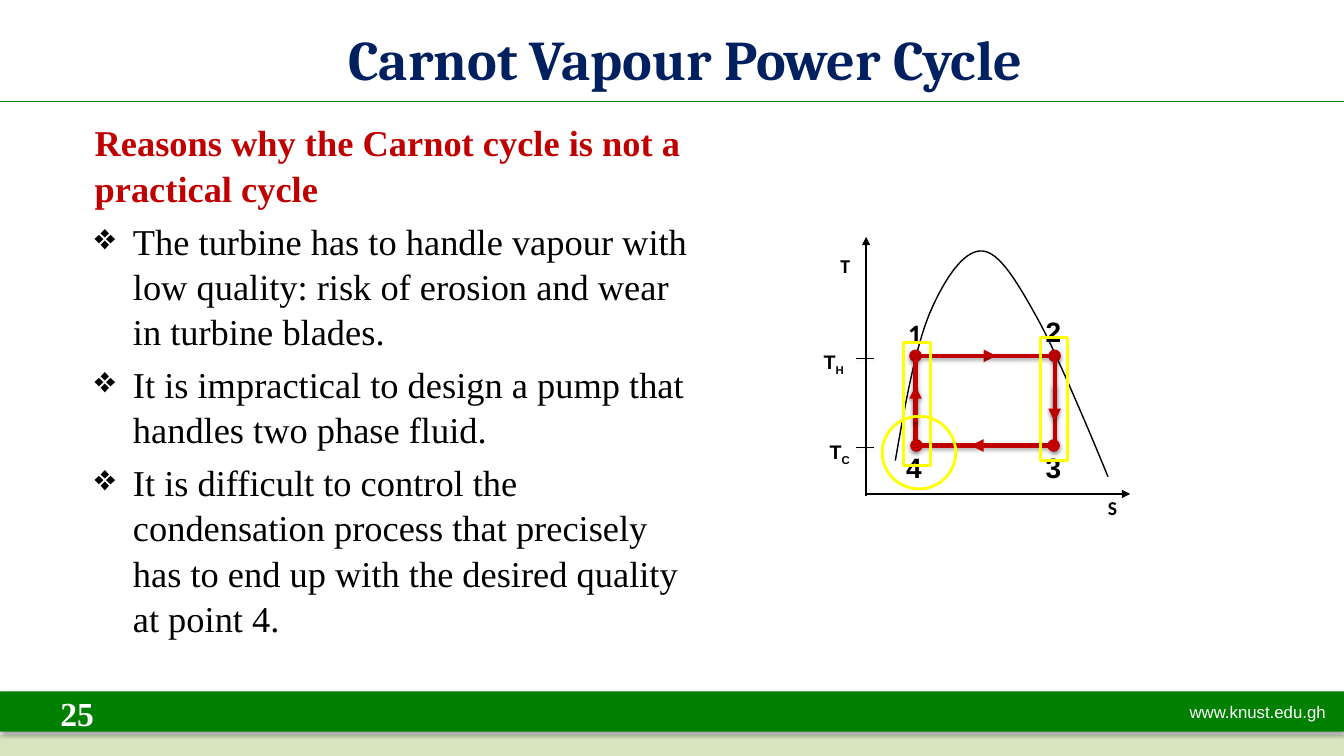
from dataclasses import dataclass

from lxml import etree
from pptx import Presentation
from pptx.dml.color import RGBColor
from pptx.enum.shapes import MSO_CONNECTOR, MSO_SHAPE
from pptx.enum.text import MSO_ANCHOR, PP_ALIGN
from pptx.oxml.ns import qn
from pptx.util import Pt

PX = 9144
RECT, OVAL = MSO_SHAPE.RECTANGLE, MSO_SHAPE.OVAL
STRAIGHT = MSO_CONNECTOR.STRAIGHT
TOP, MIDDLE = MSO_ANCHOR.TOP, MSO_ANCHOR.MIDDLE
LEFT, CENTER, RIGHT = PP_ALIGN.LEFT, PP_ALIGN.CENTER, PP_ALIGN.RIGHT
BLACK, WHITE, RED, YELLOW = "000000", "FFFFFF", "C00000", "FFFF00"
GREEN, RULE_GREEN, PALE_GREEN, NAVY = "008000", "008001", "D7E4BD", "002060"
SERIF, SANS = "Times New Roman", "Arial"
BULLET_INDENT = 38
CURVE_STEPS = 16


@dataclass
class Label:
    box: tuple[int, int, int, int]
    text: str
    size: int
    font: str = SANS
    color: str = BLACK
    bold: bool = True
    align: PP_ALIGN = LEFT
    anchor: MSO_ANCHOR = TOP
    inset: int = 10
    subscript: str = ""


@dataclass
class Line:
    start: tuple[int, int]
    end: tuple[int, int]
    color: str = RED
    width: float = 3
    head: str = ""
    tail: str = ""
    shadow: bool = False


@dataclass
class Box:
    kind: MSO_SHAPE
    box: tuple[int, int, int, int]
    fill: str = ""
    outline: str = ""
    shadow: bool = False


BANDS = [
    Box(RECT, (0, 729, 1333, 21), fill=PALE_GREEN, shadow=True),
    Box(RECT, (0, 686, 1333, 40), fill=GREEN, shadow=True),
]
HIGHLIGHTS = [
    Box(RECT, (1032, 335, 27, 122), outline=YELLOW),
    Box(RECT, (896, 340, 27, 122), outline=YELLOW),
    Box(OVAL, (875, 413, 73, 72), outline=YELLOW),
]
LABELS = [
    Label((1170, 691, 159, 30), "www.knust.edu.gh", 12, color=WHITE, bold=False),
    Label((9, 687, 94, 40), "25", 24, SERIF, WHITE, align=RIGHT, anchor=MIDDLE),
    Label((1089, 487, 27, 27), "S", 14, "Calibri"),
    Label((825, 247, 28, 20), "T", 14, "Calibri", align=RIGHT),
    Label((891, 309, 33, 22), "1", 20, "Calibri", align=CENTER),
    Label((889, 442, 27, 16), "4", 20),
    Label((1032, 307, 15, 28), "2", 20, inset=5),
    Label((1032, 442, 15, 13), "3", 20, inset=5),
    Label((807, 342, 57, 20), "T", 14, subscript="H"),
    Label((813, 432, 62, 27), "T", 14, subscript="C"),
]
AXES = [
    Line((0, 101), (1335, 101), RULE_GREEN, 1),
    Line((859, 492), (859, 235), BLACK, 1, tail="triangle"),
    Line((859, 490), (1121, 490), BLACK, 1, tail="triangle"),
    Line((849, 355), (867, 355), BLACK, 0.25, shadow=True),
    Line((849, 444), (867, 444), BLACK, 0.25, shadow=True),
]
CYCLE = [
    Line((949, 353), (988, 353), tail="triangle"),
    Line((908, 353), (1046, 353), head="oval", tail="oval", shadow=True),
    Line((1046, 350), (1046, 446), shadow=True),
    Line((908, 350), (908, 446), shadow=True),
    Line((909, 442), (1045, 442), head="oval", tail="oval", shadow=True),
    Line((908, 383), (908, 419), head="triangle", shadow=True),
    Line((1003, 442), (963, 442), tail="triangle"),
    Line((1046, 418), (1046, 382), head="triangle", shadow=True),
]
DOME_START = (888, 457)
DOME = [
    ((898, 399), (908, 345), (922, 311)),
    ((937, 276), (956, 248), (974, 249)),
    ((991, 250), (1008, 278), (1029, 316)),
    ((1050, 353), (1099, 473), (1099, 473)),
]
HEADING = "Reasons why the Carnot cycle is not a practical cycle"
REASONS = [
    "The turbine has to handle vapour with low quality: risk of erosion and wear in turbine blades.",
    "It is impractical to design a pump that handles two phase fluid.",
    "It is difficult to control the condensation process that precisely has to end up with the desired quality at point 4.",
]


def rgb(color: str) -> RGBColor:
    return RGBColor.from_string(color)


def emu(*values: int) -> list[int]:
    return [v * PX for v in values]


def set_effects(sp, shadow: bool, distance: int) -> None:
    pr = sp._element.spPr
    effects = pr.find(qn("a:effectLst"))
    if effects is None:
        effects = etree.SubElement(pr, qn("a:effectLst"))
    if shadow:
        outer = etree.SubElement(effects, qn("a:outerShdw"), blurRad="40000",
                                 dist=str(distance), dir="5400000", rotWithShape="0")
        color = etree.SubElement(outer, qn("a:srgbClr"), val=BLACK)
        etree.SubElement(color, qn("a:alpha"), val="36000")


def add_run(p, text: str, size: int, font: str, color: str, bold: bool):
    r = p.add_run()
    r.text = text
    r.font.size = Pt(size)
    r.font.name = font
    r.font.bold = bold
    r.font.color.rgb = rgb(color)
    return r


def add_box(s, item: Box) -> None:
    sp = s.shapes.add_shape(item.kind, *emu(*item.box))
    sp.shadow.inherit = False
    if item.fill:
        sp.fill.solid()
        sp.fill.fore_color.rgb = rgb(item.fill)
    else:
        sp.fill.background()
    if item.outline:
        sp.line.color.rgb = rgb(item.outline)
        sp.line.width = Pt(2)
    else:
        sp.line.fill.background()
    set_effects(sp, item.shadow, 23000)


def add_line(s, item: Line) -> None:
    sp = s.shapes.add_connector(STRAIGHT, *emu(*item.start, *item.end))
    sp.line.color.rgb = rgb(item.color)
    sp.line.width = Pt(item.width)
    ln = sp.line._get_or_add_ln()
    for tag, kind in (("a:headEnd", item.head), ("a:tailEnd", item.tail)):
        if kind:
            etree.SubElement(ln, qn(tag), type=kind)
    set_effects(sp, item.shadow, 20000)


def add_frame(s, box: tuple[int, int, int, int]):
    tf = s.shapes.add_textbox(*emu(*box)).text_frame
    tf.word_wrap = True
    tf.margin_top = tf.margin_bottom = 5 * PX
    return tf


def add_label(s, item: Label) -> None:
    tf = add_frame(s, item.box)
    tf.margin_left = item.inset * PX if item.align == LEFT else 0
    tf.margin_right = item.inset * PX if item.align == RIGHT else 0
    tf.vertical_anchor = item.anchor
    p = tf.paragraphs[0]
    p.alignment = item.align
    add_run(p, item.text, item.size, item.font, item.color, item.bold)
    if item.subscript:
        r = add_run(p, item.subscript, item.size, item.font, item.color, item.bold)
        r.font._element.set("baseline", "-25000")


def add_dome(s) -> None:
    points, start = [], DOME_START
    for c1, c2, end in DOME:
        for step in range(1, CURVE_STEPS + 1):
            t = step / CURVE_STEPS
            u = 1 - t
            points.append(tuple(
                round(PX * (u**3 * a + 3 * u * u * t * b + 3 * u * t * t * c + t**3 * d))
                for a, b, c, d in zip(start, c1, c2, end)))
        start = end
    builder = s.shapes.build_freeform(*emu(*DOME_START))
    builder.add_line_segments(points, close=False)
    sp = builder.convert_to_shape()
    sp.shadow.inherit = False
    sp.fill.background()
    sp.line.color.rgb = rgb(BLACK)
    sp.line.width = Pt(1)


def add_reasons(s) -> None:
    tf = add_frame(s, (84, 113, 618, 546))
    tf.margin_left = tf.margin_right = 10 * PX
    p = tf.paragraphs[0]
    p.line_spacing = 1.04
    add_run(p, HEADING, 26, SERIF, RED, True)
    for reason in REASONS:
        p = tf.add_paragraph()
        p.line_spacing = 1.04
        p.space_before = Pt(5.2)
        pr = p._p.get_or_add_pPr()
        pr.set("marL", str(BULLET_INDENT * PX))
        pr.set("indent", str(-BULLET_INDENT * PX))
        etree.SubElement(pr, qn("a:buChar"), char="❖")
        add_run(p, reason, 26, SERIF, BLACK, False)


def set_title(s) -> None:
    sp = s.shapes.title
    sp.left, sp.top, sp.width, sp.height = emu(67, 21, 1225, 65)
    tf = sp.text_frame
    tf.vertical_anchor = TOP
    tf.margin_top = 3 * PX
    p = tf.paragraphs[0]
    p.alignment = CENTER
    add_run(p, "Carnot Vapour Power Cycle", 40, "Cambria", NAVY, True)


def main() -> None:
    prs = Presentation()
    prs.slide_width, prs.slide_height = emu(1333, 750)
    s = prs.slides.add_slide(prs.slide_layouts[5])
    set_title(s)
    for band in BANDS:
        add_box(s, band)
    add_reasons(s)
    for line in AXES:
        add_line(s, line)
    for label in LABELS:
        add_label(s, label)
    add_dome(s)
    for line in CYCLE:
        add_line(s, line)
    for highlight in HIGHLIGHTS:
        add_box(s, highlight)
    prs.save("out.pptx")


if __name__ == "__main__":
    main()
